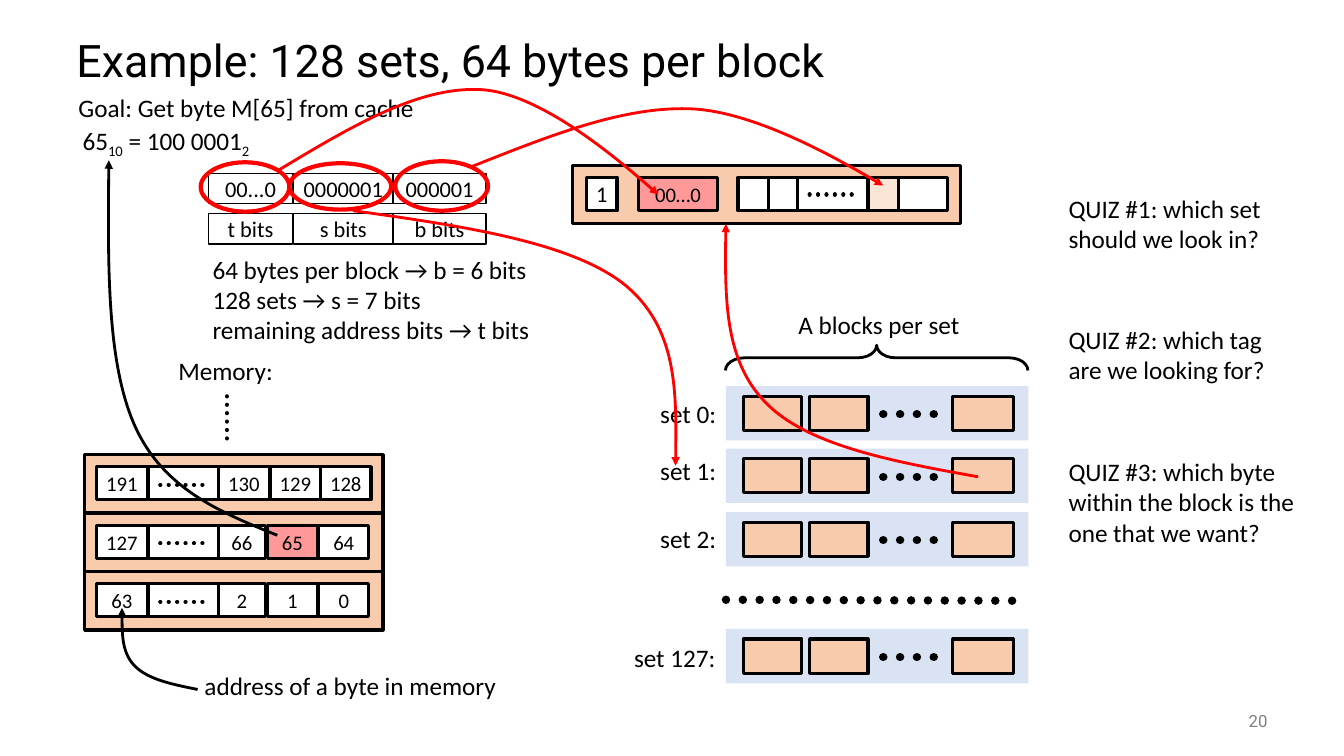
import dataclasses
import lxml.etree
import pptx
import pptx.dml.color
import pptx.enum.dml
import pptx.enum.shapes
import pptx.enum.text
import pptx.oxml.ns
import pptx.util

Inches = pptx.util.Inches
RGBColor = pptx.dml.color.RGBColor
Kind = pptx.enum.shapes.MSO_SHAPE
Align = pptx.enum.text.PP_ALIGN
Anchor = pptx.enum.text.MSO_ANCHOR
Fit = pptx.enum.text.MSO_AUTO_SIZE
qn = pptx.oxml.ns.qn

BLACK = RGBColor(0, 0, 0)
WHITE = RGBColor(255, 255, 255)
GRAY = RGBColor(0x80, 0x80, 0x80)
RED = RGBColor(255, 0, 0)
PINK = RGBColor(0xFF, 0x99, 0x99)
PEACH = RGBColor(0xF8, 0xCB, 0xAD)
CREAM = RGBColor(0xFB, 0xE5, 0xD6)
BLUE = RGBColor(0xDA, 0xE3, 0xF3)


@dataclasses.dataclass
class Cell:
    x: float
    y: float
    w: float
    h: float
    text: str = ""
    fill: RGBColor | None = WHITE
    size: float = 14.8
    line: RGBColor | None = BLACK
    width: float = 2.25
    kind: Kind = Kind.RECTANGLE


@dataclasses.dataclass
class Note:
    x: float
    y: float
    w: float
    h: float
    text: str


@dataclasses.dataclass
class Curve:
    points: list[tuple[float, float]]
    color: RGBColor = RED


def write(shape, text: str, *, size: float = 18, font: str = "Calibri",
          color: RGBColor = BLACK, align=Align.LEFT, anchor=Anchor.TOP,
          wrap: bool = False, space: float = 1.0) -> None:
    """Lines are split at newlines; parts between tildes are subscripts."""
    frame = shape.text_frame
    frame.word_wrap = wrap
    frame.vertical_anchor = anchor
    for i, line in enumerate(text.split("\n")):
        para = frame.add_paragraph() if i else frame.paragraphs[0]
        para.alignment = align
        para.line_spacing = space
        for j, part in enumerate(line.split("~")):
            if not part:
                continue
            run = para.add_run()
            run.text = part
            run.font.size = pptx.util.Pt(size)
            run.font.name = font
            run.font.color.rgb = color
            if j % 2:
                run._r.get_or_add_rPr().set("baseline", "-25000")


def label(host, note: Note, **form) -> None:
    box = host.add_textbox(*map(Inches, (note.x, note.y, note.w, note.h)))
    write(box, note.text, **form)
    if not form.get("wrap"):
        box.text_frame.auto_size = Fit.SHAPE_TO_FIT_TEXT


def draw(host, cell: Cell):
    shape = host.add_shape(cell.kind, *map(Inches, (cell.x, cell.y, cell.w, cell.h)))
    shape.shadow.inherit = False
    if cell.fill is None:
        shape.fill.background()
    else:
        shape.fill.solid()
        shape.fill.fore_color.rgb = cell.fill
    if cell.line is None:
        shape.line.fill.background()
    else:
        shape.line.color.rgb = cell.line
        shape.line.width = pptx.util.Pt(cell.width)
    if cell.text:
        write(shape, cell.text, size=cell.size, align=Align.CENTER, anchor=Anchor.MIDDLE)
    return shape


def dots(host, x: float, y: float, to_x: float, to_y: float, width: float = 3) -> None:
    line = host.add_connector(pptx.enum.shapes.MSO_CONNECTOR.STRAIGHT,
                              *map(Inches, (x, y, to_x, to_y)))
    line.line.color.rgb = BLACK
    line.line.width = pptx.util.Pt(width)
    line.line.dash_style = pptx.enum.dml.MSO_LINE.ROUND_DOT
    props = line._element.spPr
    props.find(qn("a:ln")).set("cap", "rnd")
    lxml.etree.SubElement(props, qn("a:effectLst"))


def sweep(host, curve: Curve) -> None:
    """An arrow whose points are a start, then three per Bezier segment."""
    spots = [(Inches(x), Inches(y)) for x, y in curve.points]
    maker = host.build_freeform(*spots[0])
    maker.add_line_segments(spots[1:], close=False)
    shape = maker.convert_to_shape()
    shape.shadow.inherit = False
    shape.fill.background()
    shape.line.color.rgb = curve.color
    shape.line.width = pptx.util.Pt(2)
    props = shape._element.spPr
    lxml.etree.SubElement(props.find(qn("a:ln")), qn("a:tailEnd"), type="triangle")
    track = next(props.iter(qn("a:path")))
    steps = track.findall(qn("a:lnTo"))
    for i in range(0, len(steps), 3):
        bend = lxml.etree.SubElement(track, qn("a:cubicBezTo"))
        for step in steps[i:i + 3]:
            bend.append(step[0])
            track.remove(step)


def block(host) -> None:
    draw(host, Cell(5.68, 1.64, 3.85, 0.58, fill=PEACH))
    for x, w in ((7.32, 0.3), (7.62, 0.3), (8.9, 0.5), (7.91, 0.7)):
        draw(host, Cell(x, 1.76, w, 0.33))
    dots(host, 8.03, 1.93, 8.53, 1.93)
    draw(host, Cell(6.33, 1.76, 0.79, 0.33, "00…0", PINK))
    draw(host, Cell(5.82, 1.76, 0.3, 0.33, "1", size=16))
    draw(host, Cell(8.61, 1.76, 0.3, 0.33, fill=CREAM))


def memory(host) -> None:
    near = ((0.96, 0.5), (2.17, 0.46), (2.65, 0.5), (3.16, 0.5))
    far = ((0.96, 0.5), (2.17, 0.5), (2.68, 0.5), (3.18, 0.5))
    rows = ((("63", "2", "1", "0"), near), (("127", "66", "65", "64"), near),
            (("191", "130", "129", "128"), far))
    for i, (names, spans) in enumerate(rows):
        top = 5.67 - 0.58 * i
        draw(host, Cell(0.84, top, 2.96, 0.58, fill=PEACH))
        draw(host, Cell(1.47, top + 0.12, 0.7, 0.33))
        dots(host, 1.59, top + 0.3, 2.09, top + 0.3)
        for name, (x, w) in zip(names, spans):
            draw(host, Cell(x, top + 0.12, w, 0.33, name, PINK if name == "65" else WHITE))
    dots(host, 2.25, 4.35, 2.25, 3.92)


def address(host) -> None:
    for y, names in ((2.12, ("t bits", "s bits", "b bits")),
                     (1.72, ("00...0", "0000001", "000001"))):
        for name, x, w in zip(names, (2.07, 2.91, 3.9), (0.83, 0.99, 0.92)):
            draw(host, Cell(x, y, w, 0.3, name, size=16, width=1))


def sets(host) -> None:
    for name, top, y in (("0", 3.83, 3.9), ("1", 4.45, 4.47),
                         ("2", 5.08, 5.14), ("127", 6.24, 6.32)):
        group = host.add_group_shape().shapes
        draw(group, Cell(7.2, top, 3, 0.54, fill=BLUE, line=None))
        for x, w in ((7.37, 0.58), (8.03, 0.58), (9.45, 0.6)):
            draw(group, Cell(x, top + 0.1, w, 0.34, fill=PEACH))
        dots(group, 8.76, top + 0.28, 9.37, top + 0.28, 6)
        w = 1.03 if len(name) > 1 else 0.77
        label(host, Note(7.22 - w, y, w, 0.4, f"set {name}:"))
    dots(host, 7.2, 5.95, 10.05, 5.96, 6)
    brace = draw(host, Cell(8.57, 2.05, 0.25, 3, fill=None, width=2, kind=Kind.LEFT_BRACE))
    brace.rotation = 90
    brace.adjustments[0] = 0.75


NOTES = [
    Note(1.67, 3.48, 1.17, 0.4, "Memory:"),
    Note(0.72, 1.19, 1.91, 0.4, "65~10~ = 100 0001~2~"),
    Note(2.01, 2.47, 3.37, 1.01, "64 bytes per block → b = 6 bits\n128 sets → s = 7 bits\n"
         "remaining address bits → t bits"),
    Note(1.93, 6.6, 3.2, 0.4, "address of a byte in memory"),
    Note(7.82, 3.02, 1.82, 0.4, "A blocks per set"),
    Note(0.68, 0.87, 3.57, 0.4, "Goal: Get byte M[65] from cache"),
    Note(10.5, 1.87, 2.13, 0.71, "QUIZ #1: which set\nshould we look in?"),
    Note(10.5, 3.17, 2.23, 0.71, "QUIZ #2: which tag\nare we looking for?"),
    Note(10.5, 4.48, 2.47, 1.01, "QUIZ #3: which byte\nwithin the block is the\n"
         "one that we want?"),
]
RINGS = [(2.87, 1.62, 1.01, 0.46), (3.92, 1.6, 0.92, 0.49), (1.99, 1.61, 0.88, 0.49)]
CURVES = [
    Curve([(1.96, 6.84), (1.71, 6.79), (1.46, 6.74), (1.33, 6.6),
           (1.21, 6.47), (1.21, 6.25), (1.21, 6.03)], BLACK),
    Curve([(2.75, 5.31), (2.18, 5.08), (1.62, 4.85), (1.34, 4.23),
           (1.06, 3.61), (1.07, 2.6), (1.08, 1.59)], BLACK),
    Curve([(3.5, 2.09), (4.58, 2.24), (5.66, 2.4), (6.19, 2.82),
           (6.72, 3.25), (6.71, 3.93), (6.7, 4.62)]),
    Curve([(9.7, 4.73), (8.86, 4.58), (8.01, 4.42), (7.6, 4),
           (7.18, 3.58), (7.19, 2.9), (7.2, 2.22)]),
    Curve([(2.76, 1.69), (3.46, 1.27), (4.15, 0.85), (4.78, 0.89),
           (5.41, 0.93), (6.53, 1.93), (6.53, 1.93)]),
    Curve([(4.66, 1.66), (5.42, 1.36), (6.17, 1.05), (6.86, 1.08),
           (7.54, 1.11), (8.76, 1.84), (8.76, 1.84)]),
]


def main() -> None:
    deck = pptx.Presentation()
    deck.slide_width, deck.slide_height = Inches(13.33), Inches(7.5)
    host = deck.slides.add_slide(deck.slide_layouts[6]).shapes
    # Title and page number
    label(host, Note(0.66, 0.25, 12, 0.75, "Example: 128 sets, 64 bytes per block"),
          size=32, font="Roboto", anchor=Anchor.MIDDLE, wrap=True, space=0.9)
    label(host, Note(11.67, 6.95, 1, 0.4, "20"), size=12, font="Roboto", color=GRAY,
          align=Align.RIGHT, anchor=Anchor.MIDDLE, wrap=True)
    # Diagrams
    for part in (block, memory, address, sets):
        part(host)
    # Labels, rings and arrows
    for note in NOTES:
        label(host, note)
    for ring in RINGS:
        draw(host, Cell(*ring, fill=None, line=RED, width=3, kind=Kind.OVAL))
    for curve in CURVES:
        sweep(host, curve)
    deck.save("out.pptx")


if __name__ == "__main__":
    main()
